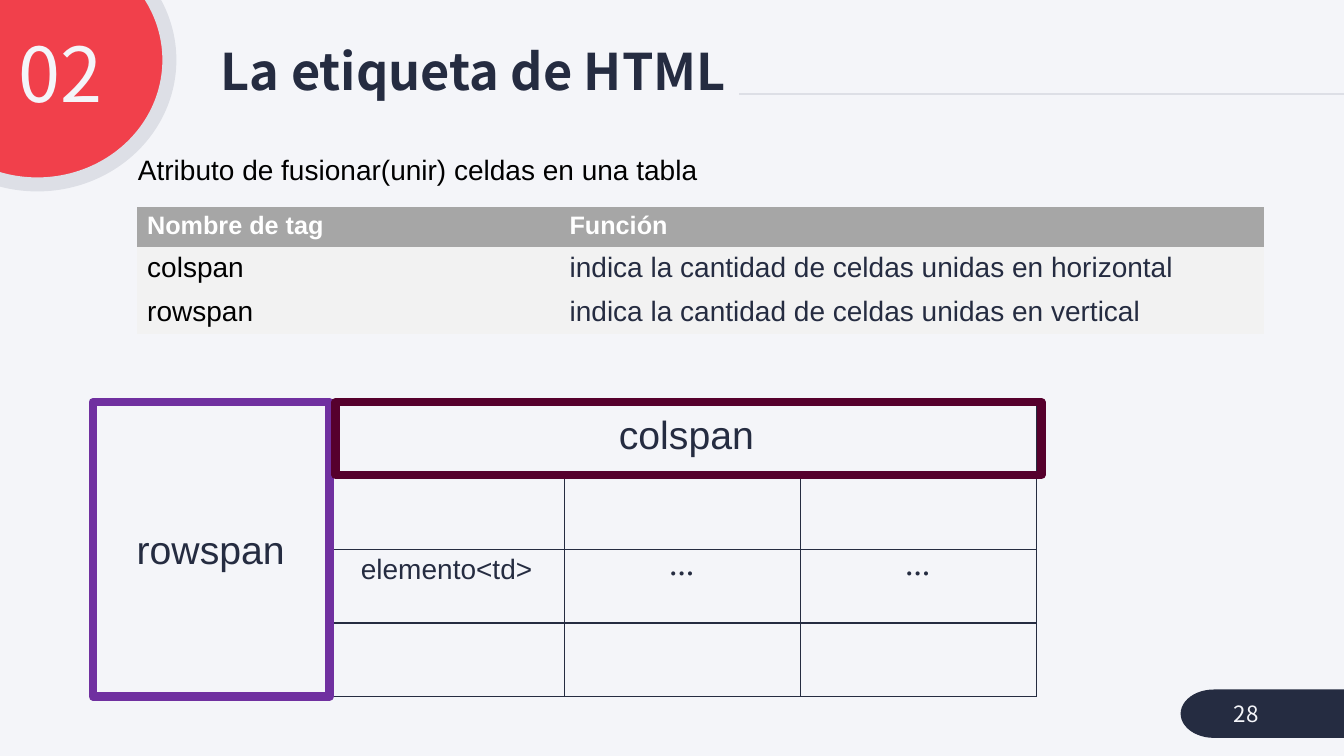
from lxml.etree import SubElement
from pptx import Presentation
from pptx.dml.color import RGBColor
from pptx.enum.shapes import MSO_CONNECTOR, MSO_SHAPE
from pptx.enum.text import MSO_ANCHOR, PP_ALIGN
from pptx.oxml.ns import qn
from pptx.util import Inches, Pt

BACKGROUND = RGBColor(0xF4, 0xF5, 0xF9)
NAVY = RGBColor(0x25, 0x2C, 0x41)
RED = RGBColor(0xF1, 0x40, 0x4B)
PALE = RGBColor(0xDD, 0xDF, 0xE6)
HEADER_GRAY = RGBColor(0xA6, 0xA6, 0xA6)
ROW_GRAY = RGBColor(0xF2, 0xF2, 0xF2)
PURPLE = RGBColor(0x70, 0x30, 0xA0)
MAROON = RGBColor(0x56, 0x00, 0x2D)
WHITE = RGBColor(0xFF, 0xFF, 0xFF)
BLACK = RGBColor(0, 0, 0)

BODY_FONT = "Arial"
THEME_FONT = "Noto Sans CJK KR"
PLAIN_TABLE = "{2D5ABB26-0587-4C30-8999-92F81FD0307C}"


class SlideBuilder:
    def __init__(self, s):
        self.s = s
        s.background.fill.solid()
        s.background.fill.fore_color.rgb = BACKGROUND

    def add_text(self, tf, text, size, color=NAVY, font=BODY_FONT, bold=False,
                 align=PP_ALIGN.LEFT, spacing=1.0):
        p = tf.paragraphs[0]
        p.alignment = align
        p.line_spacing = spacing
        r = p.add_run()
        r.text = text
        r.font.size = Pt(size)
        r.font.name = font
        r.font.bold = bold
        r.font.color.rgb = color
        # East Asian font, so that symbols such as the ellipsis match
        SubElement(r.font._element, qn("a:ea"), typeface=font)

    def text(self, x, y, w, h, text, size, anchor=MSO_ANCHOR.TOP, **style):
        sp = self.s.shapes.add_textbox(Inches(x), Inches(y), Inches(w), Inches(h))
        tf = sp.text_frame
        tf.word_wrap = True
        tf.vertical_anchor = anchor
        self.add_text(tf, text, size, **style)

    def shape(self, kind, x, y, w, h, fill=None, line=None, width=0):
        sp = self.s.shapes.add_shape(kind, Inches(x), Inches(y), Inches(w), Inches(h))
        sp.shadow.inherit = False
        if fill is None:
            sp.fill.background()
        else:
            sp.fill.solid()
            sp.fill.fore_color.rgb = fill
        if line is None:
            sp.line.fill.background()
        else:
            sp.line.color.rgb = line
            sp.line.width = Pt(width)

    def line(self, x1, y1, x2, y2, color, width):
        c = self.s.shapes.add_connector(
            MSO_CONNECTOR.STRAIGHT, Inches(x1), Inches(y1), Inches(x2), Inches(y2))
        c.line.color.rgb = color
        c.line.width = Pt(width)
        SubElement(c._element.spPr, qn("a:effectLst"))

    def table(self, x, y, widths, heights):
        frame = self.s.shapes.add_table(
            len(heights), len(widths), Inches(x), Inches(y),
            Inches(sum(widths)), Inches(sum(heights)))
        table = frame.table
        table.first_row = table.horz_banding = False
        table._tbl.tblPr.find(qn("a:tableStyleId")).text = PLAIN_TABLE
        for column, w in zip(table.columns, widths):
            column.width = Inches(w)
        for row, h in zip(table.rows, heights):
            row.height = Inches(h)
        return table

    def border(self, cell, color, width):
        tcPr = cell._tc.get_or_add_tcPr()
        for side in ("lnL", "lnR", "lnT", "lnB"):
            ln = SubElement(tcPr, qn(f"a:{side}"), w=str(Pt(width)))
            fill = SubElement(ln, qn("a:solidFill"))
            SubElement(fill, qn("a:srgbClr"), val=str(color))


def main():
    prs = Presentation()
    prs.slide_width, prs.slide_height = Inches(13.33), Inches(7.5)
    b = SlideBuilder(prs.slides.add_slide(prs.slide_layouts[6]))

    # Decoration, title and numbers
    b.line(7.33, 0.93, 13.33, 0.93, PALE, 1.5)
    b.shape(MSO_SHAPE.OVAL, -0.94, -0.64, 2.62, 2.47, RED, PALE, 10)
    b.shape(MSO_SHAPE.FLOWCHART_TERMINATOR, 11.71, 6.84, 2.05, 0.48, NAVY)
    b.text(2.09, 0.4, 6.75, 0.67, "La etiqueta de HTML", 36, MSO_ANCHOR.MIDDLE,
           font=THEME_FONT, bold=True, spacing=0.9)
    b.text(-0.11, 0.32, 1.22, 0.92, "02", 54, color=BACKGROUND,
           font=THEME_FONT, align=PP_ALIGN.RIGHT, spacing=0.9)
    b.text(12.14, 6.88, 1.09, 0.4, "28", 16, MSO_ANCHOR.MIDDLE,
           color=BACKGROUND, font=THEME_FONT)
    b.text(1.27, 1.5, 11.5, 0.45, "Atributo de fusionar(unir) celdas en una tabla",
           20, color=BLACK, spacing=0.9)

    # Attribute table
    attributes = [
        ("Nombre de tag", "Función"),
        ("colspan", "indica la cantidad de celdas unidas en horizontal"),
        ("rowspan", "indica la cantidad de celdas unidas en vertical"),
    ]
    table = b.table(1.36, 2.05, [4.19, 6.99], [0.4] * 3)
    for i, row in enumerate(attributes):
        for j, text in enumerate(row):
            cell = table.cell(i, j)
            cell.fill.solid()
            cell.fill.fore_color.rgb = ROW_GRAY if i else HEADER_GRAY
            if i:
                b.add_text(cell.text_frame, text, 20, NAVY if j else BLACK)
            else:
                b.add_text(cell.text_frame, text, 18, WHITE, bold=True)

    # Example table with merged cells
    grid = b.table(0.92, 3.99, [2.34] * 4, [0.73] * 4)
    for cell in grid.iter_cells():
        b.border(cell, NAVY, 1)
        cell.fill.background()
    grid.cell(0, 0).merge(grid.cell(3, 0))
    grid.cell(0, 1).merge(grid.cell(0, 3))
    b.add_text(grid.cell(2, 1).text_frame, "elemento<td>", 20, align=PP_ALIGN.CENTER)
    for j in (2, 3):
        b.add_text(grid.cell(2, j).text_frame, "…", 18, font=THEME_FONT, bold=True,
                   align=PP_ALIGN.CENTER)

    # Frames and labels of the merged cells
    b.shape(MSO_SHAPE.RECTANGLE, 0.92, 3.99, 2.35, 2.92, line=PURPLE, width=6)
    b.text(1.01, 5.16, 2.16, 0.57, "rowspan", 28, align=PP_ALIGN.CENTER)
    b.shape(MSO_SHAPE.RECTANGLE, 3.33, 3.99, 7, 0.72, line=MAROON, width=6)
    b.text(6.04, 4.02, 2.57, 0.57, "colspan", 28)

    prs.save("out.pptx")


if __name__ == "__main__":
    main()
